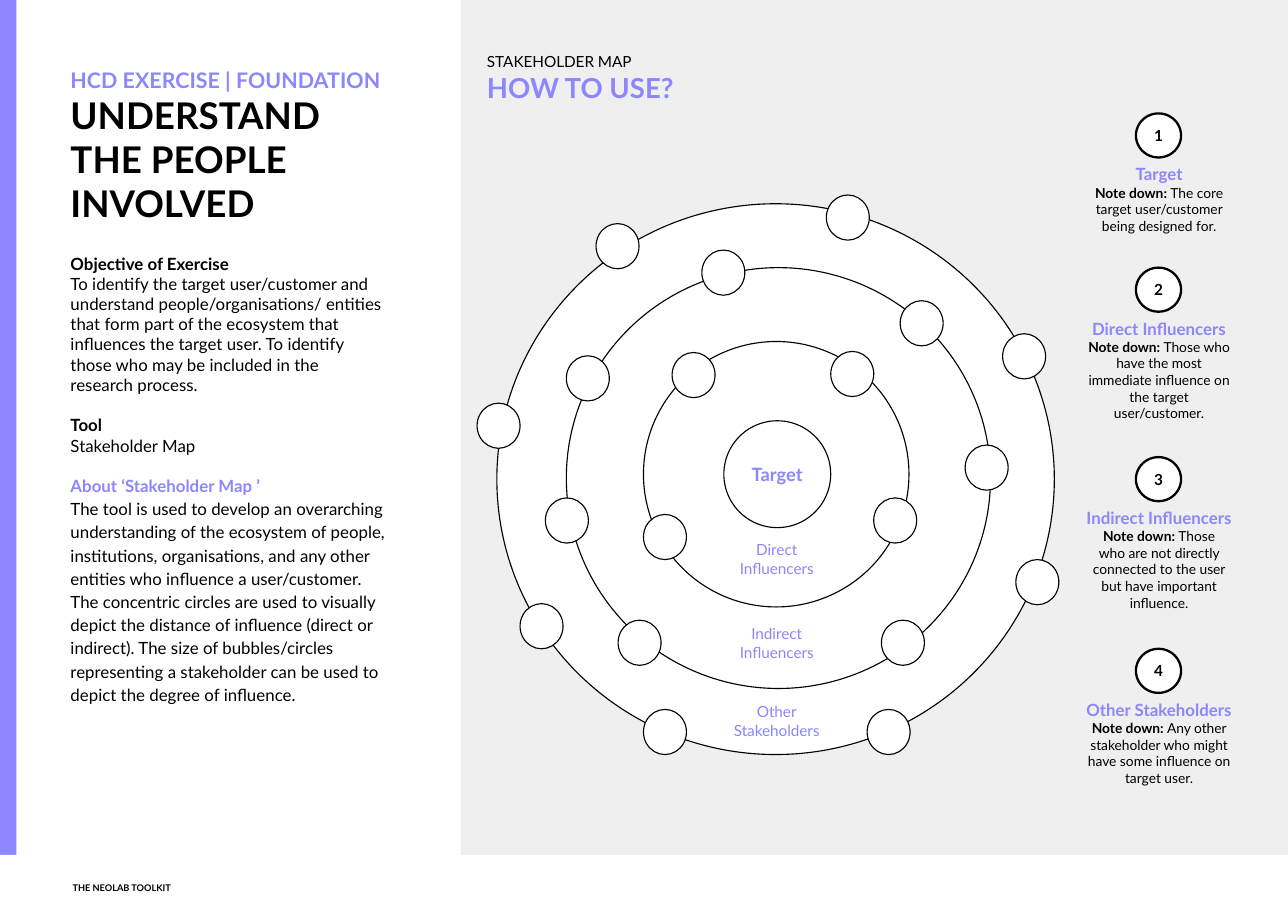
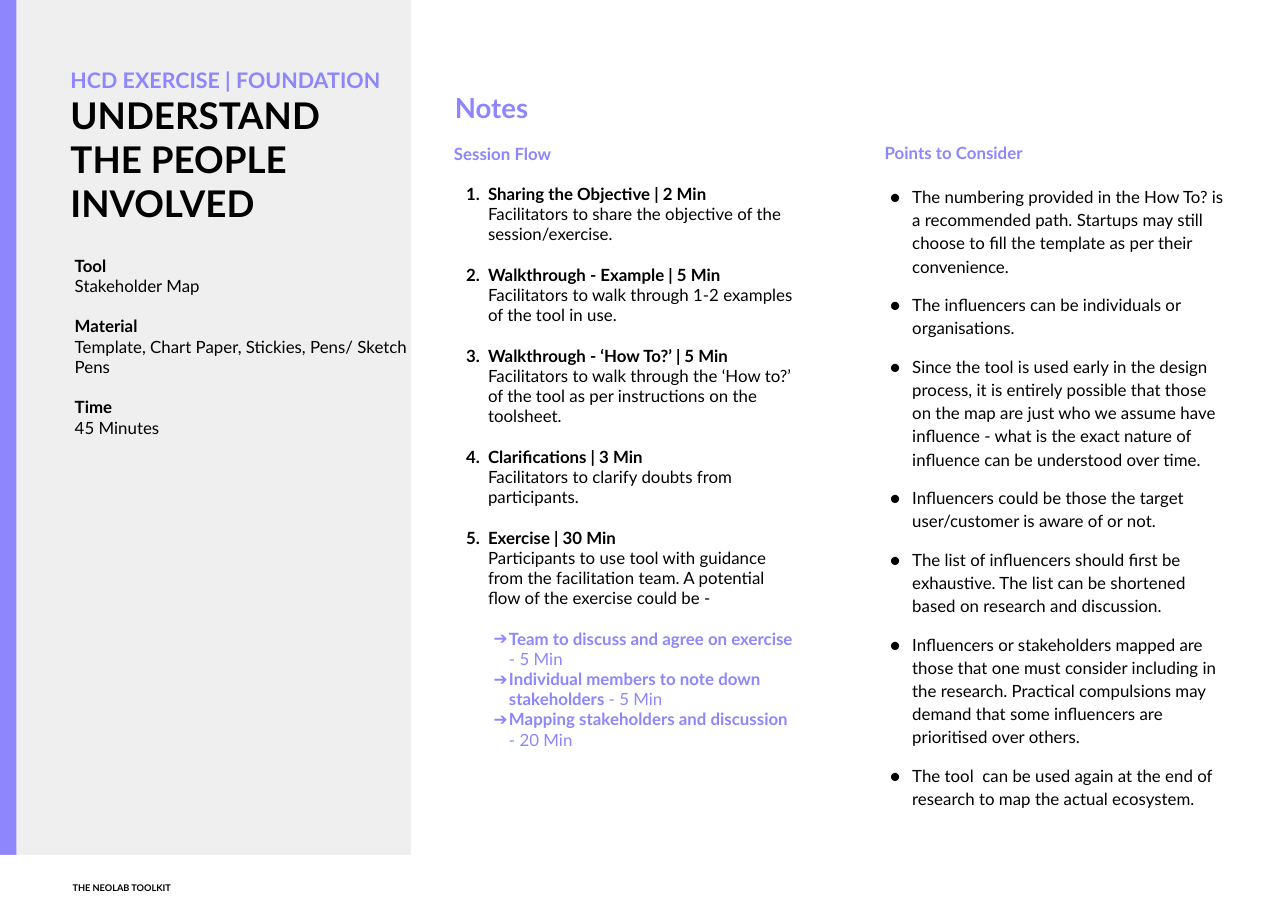
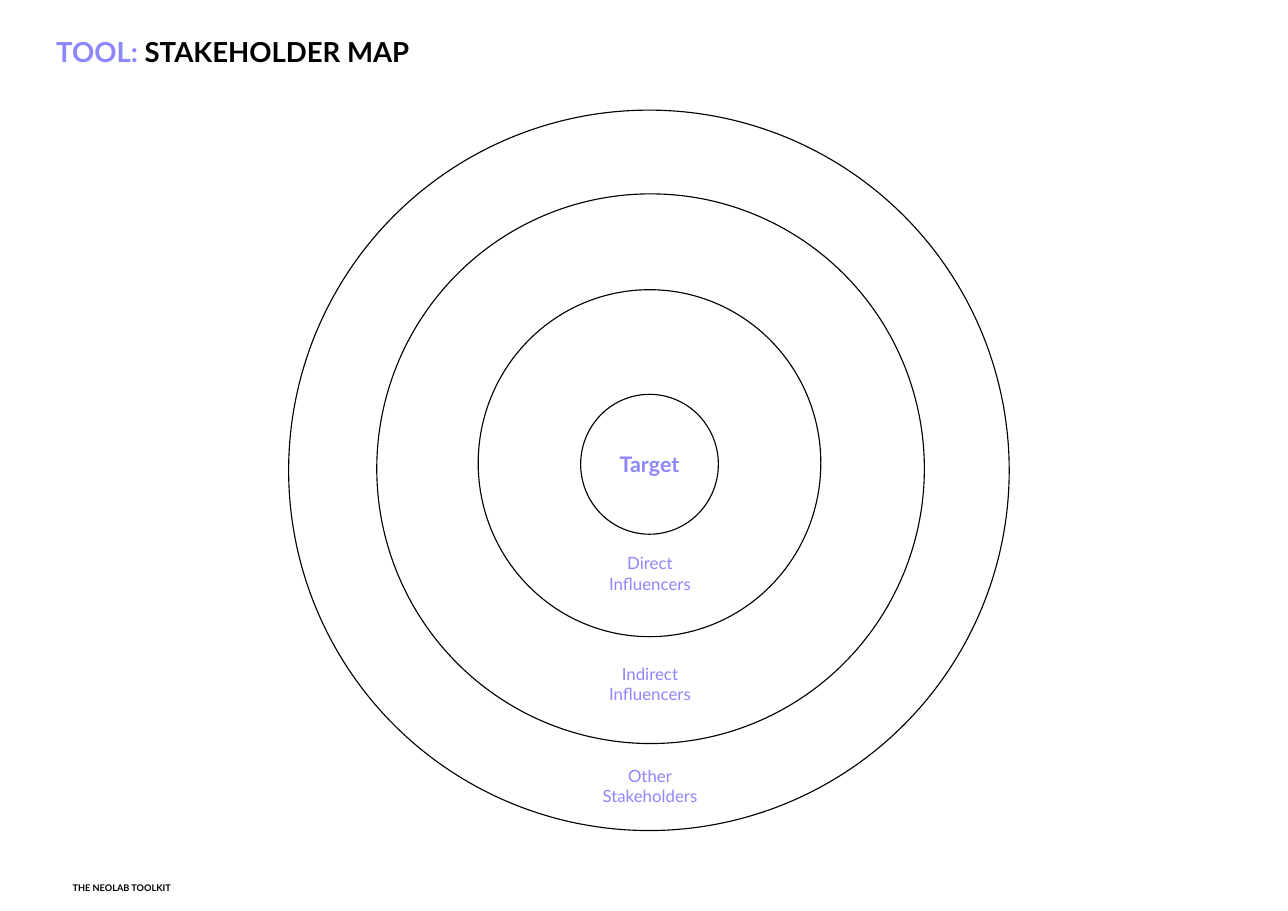
"""Build the three slides of the stakeholder map exercise."""
from lxml.etree import SubElement
from pptx import Presentation
from pptx.dml.color import RGBColor
from pptx.enum.shapes import MSO_SHAPE as Shape
from pptx.enum.text import MSO_ANCHOR as Anchor, PP_ALIGN as Align
from pptx.oxml.ns import qn
from pptx.util import Emu, Pt

EMU_PER_PX = 9144
WIDTH, HEIGHT = 1169, 827
FONT = "Lato"
BLACK, WHITE, GREY, VIOLET = "000000", "FFFFFF", "EFEFEF", "8D86FC"
BLANK_LINE = 13.2
BODY_INSET, LABEL_INSET = 13, 10

RING_NAMES = [("Direct", "Influencers"), ("Indirect", "Influencers"), ("Other", "Stakeholders")]

BUBBLE_SIZE = (39, 41)
BUBBLES = [
    (610, 320), (754, 319), (793, 452), (584, 467),
    (514, 323), (637, 227), (817, 273), (876, 404), (495, 452), (561, 563), (800, 563),
    (787, 644), (922, 508), (910, 303), (750, 177), (541, 203), (433, 366), (472, 548), (584, 644),
]

CARDS = [
    (103, "Target", ["The core target user/customer being designed for."]),
    (243, "Direct Influencers",
     ["Those who have the most immediate influence on the target user/customer."]),
    (415, "Indirect Influencers",
     ["Those", "who are not directly connected to the user but have important influence."]),
    (589, "Other Stakeholders",
     ["Any other stakeholder who might have some influence on target user."]),
]

ABOUT_EXERCISE = [
    ("Objective of Exercise",
     "To identify the target user/customer and understand people/organisations/ entities that "
     "form part of the ecosystem that influences the target user. To identify those who may be "
     "included in the research process."),
    ("Tool", "Stakeholder Map"),
]
ABOUT_TOOL = (
    "The tool is used to develop an overarching understanding of the ecosystem of people, "
    "institutions, organisations, and any other entities who influence a user/customer. The "
    "concentric circles are used to visually depict the distance of influence (direct or "
    "indirect). The size of bubbles/circles representing a stakeholder can be used to depict "
    "the degree of influence."
)

LOGISTICS = [
    ("Tool", "Stakeholder Map"),
    ("Material", "Template, Chart Paper, Stickies, Pens/ Sketch Pens"),
    ("Time", "45 Minutes"),
]

SESSION_STEPS = [
    ("Sharing the Objective | 2 Min",
     "Facilitators to share the objective of the session/exercise."),
    ("Walkthrough - Example | 5 Min",
     "Facilitators to walk through 1-2 examples of the tool in use."),
    ("Walkthrough - ‘How To?’ | 5 Min",
     "Facilitators to walk through the ‘How to?’ of the tool as per instructions on the toolsheet."),
    ("Clarifications | 3 Min", "Facilitators to clarify doubts from participants."),
    ("Exercise | 30 Min",
     "Participants to use tool with guidance from the facilitation team. A potential flow of the "
     "exercise could be -"),
]
EXERCISE_FLOW = [
    ("Team to discuss and agree on exercise ", "- 5 Min"),
    ("Individual members to note down stakeholders ", "- 5 Min"),
    ("Mapping stakeholders and discussion ", "- 20 Min"),
]

POINTS = [
    "The numbering provided in the How To? is a recommended path. Startups may still choose to "
    "fill the template as per their convenience.",
    "The influencers can be individuals or organisations.",
    "Since the tool is used early in the design process, it is entirely possible that those on "
    "the map are just who we assume have influence - what is the exact nature of influence can "
    "be understood over time.",
    "Influencers could be those the target user/customer is aware of or not.",
    "The list of influencers should first be exhaustive. The list can be shortened based on "
    "research and discussion.",
    "Influencers or stakeholders mapped are those that one must consider including in the "
    "research. Practical compulsions may demand that some influencers are prioritised over others.",
    "The tool  can be used again at the end of research to map the actual ecosystem.",
]


def px(length):
    """Turn px into EMU."""
    return Emu(length * EMU_PER_PX)


def color(hex_string):
    """Turn a hex string into a colour."""
    return RGBColor.from_string(hex_string)


def add_run(paragraph, text, size=11, ink=BLACK, bold=False):
    """Add formatted text to a paragraph."""
    run = paragraph.add_run()
    run.text = text
    run.font.name = FONT
    run.font.size = Pt(size)
    run.font.bold = bold
    run.font.color.rgb = color(ink)


def add_bullet(paragraph, ink, tag, **attributes):
    """Give a paragraph a bullet or a number."""
    properties = paragraph._p.get_or_add_pPr()
    bullet_color = SubElement(properties, qn("a:buClr"))
    SubElement(bullet_color, qn("a:srgbClr"), val=ink)
    SubElement(properties, qn("a:buFont"), typeface=FONT)
    SubElement(properties, qn(tag), **attributes)


def add_text(frame, text, align=Align.LEFT, before=0, line=None, indent=0, hanging=0,
             bullet=None, number=None, **font):
    """Add a formatted paragraph to a text frame and return it."""
    first = frame.paragraphs[0]
    paragraph = frame.add_paragraph() if first.runs else first
    if indent:
        properties = paragraph._p.get_or_add_pPr()
        properties.set("marL", str(px(indent)))
        properties.set("indent", str(-px(hanging)))
    if bullet:
        add_bullet(paragraph, font.get("ink", BLACK), "a:buChar", char=bullet)
    if number:
        add_bullet(paragraph, font.get("ink", BLACK), "a:buAutoNum",
                   type="arabicPeriod", startAt=str(number))
    paragraph.alignment = align
    if before:
        paragraph.space_before = Pt(before)
    if line:
        paragraph.line_spacing = line
    add_run(paragraph, text, **font)
    return paragraph


def set_frame(shape, inset, anchor):
    """Set wrapping, insets and anchor of a shape's text and return its frame."""
    frame = shape.text_frame
    frame.word_wrap = True
    frame.vertical_anchor = anchor
    frame.margin_left = frame.margin_right = frame.margin_top = frame.margin_bottom = px(inset)
    return frame


def add_box(shapes, left, top, width, height, inset=LABEL_INSET, anchor=Anchor.TOP):
    """Add a text box and return its text frame."""
    box = shapes.add_textbox(px(left), px(top), px(width), px(height))
    return set_frame(box, inset, anchor)


def add_block(shapes, kind, left, top, width, height, fill=WHITE, line=None):
    """Add a filled shape, outlined in black when a line width is given."""
    shape = shapes.add_shape(kind, px(left), px(top), px(width), px(height))
    shape.shadow.inherit = False
    shape.fill.solid()
    shape.fill.fore_color.rgb = color(fill)
    if line:
        shape.line.color.rgb = color(BLACK)
        shape.line.width = Pt(line)
    else:
        shape.line.fill.background()
    return shape


def add_circle(shapes, left, top, width, height, line=0.75, text=None, **font):
    """Add an outlined white circle, with centred bold text if given."""
    circle = add_block(shapes, Shape.OVAL, left, top, width, height, line=line)
    if text:
        frame = set_frame(circle, 0, Anchor.MIDDLE)
        add_text(frame, text, align=Align.CENTER, bold=True, **font)


def add_sections(frame, sections):
    """Add bold headings with their text, one blank line apart."""
    for index, (heading, text) in enumerate(sections):
        add_text(frame, heading, bold=True, before=BLANK_LINE if index else 0)
        add_text(frame, text)


def add_exercise_title(slide):
    """Add the exercise title at the left."""
    frame = add_box(slide.shapes, 51, 96, 312, 121, BODY_INSET, Anchor.BOTTOM)
    add_text(frame, "HCD EXERCISE | FOUNDATION", size=14, ink=VIOLET, bold=True)
    add_text(frame, "UNDERSTAND THE PEOPLE INVOLVED", size=24, bold=True)


def add_accent(slide):
    """Add the violet band at the left edge."""
    add_block(slide.shapes, Shape.RECTANGLE, 0, 0, 15, HEIGHT, VIOLET)


def add_footer(slide):
    """Add the white footer band with the toolkit name."""
    shapes = slide.shapes.add_group_shape().shapes
    add_block(shapes, Shape.RECTANGLE, 0, 776, WIDTH, 51)
    frame = add_box(shapes, 56, 787, 461, 29, anchor=Anchor.BOTTOM)
    add_text(frame, "THE NEOLAB TOOLKIT", size=6, bold=True)


def add_map(slide, rings, target, label_left, label_tops, label_size, text_size, target_size):
    """Add the concentric rings with their labels and return the group's shapes."""
    shapes = slide.shapes.add_group_shape().shapes
    for ring in rings:
        add_circle(shapes, *ring)
    add_circle(shapes, *target, text="Target", size=target_size, ink=VIOLET)
    for top, words in zip(label_tops, RING_NAMES):
        frame = add_box(shapes, label_left, top, *label_size, anchor=Anchor.MIDDLE)
        for word in words:
            add_text(frame, word, align=Align.CENTER, size=text_size, ink=VIOLET)
    return shapes


def add_card(slide, number, top, heading, notes):
    """Add a numbered badge with its heading and note."""
    add_circle(slide.shapes, 1031, top, 41, 40, line=1.5, text=str(number), size=10)
    frame = add_box(slide.shapes, 976, top + 36, 152, 77)
    add_text(frame, heading, align=Align.CENTER, ink=VIOLET, bold=True)
    paragraph = add_text(frame, "Note down: ", align=Align.CENTER, size=9, bold=True)
    add_run(paragraph, notes[0], size=9)
    for note in notes[1:]:
        add_text(frame, note, align=Align.CENTER, size=9)


def build_how_to_use(slide):
    """Build the slide that explains the map."""
    add_block(slide.shapes, Shape.RECTANGLE, 418, 0, 751, HEIGHT, GREY)
    add_exercise_title(slide)
    about = add_box(slide.shapes, 51, 217, 312, 513, BODY_INSET)
    add_sections(about, ABOUT_EXERCISE)
    add_text(about, "About ‘Stakeholder Map ’", ink=VIOLET, bold=True, before=BLANK_LINE)
    add_text(about, ABOUT_TOOL, line=1.15)
    title = add_box(slide.shapes, 429, 30, 552, 77, BODY_INSET, Anchor.BOTTOM)
    add_text(title, "STAKEHOLDER MAP", size=10)
    add_text(title, "HOW TO USE?", size=18, ink=VIOLET, bold=True)
    for number, card in enumerate(CARDS, 1):
        add_card(slide, number, *card)
    shapes = add_map(
        slide, rings=[(451, 185, 506, 500), (514, 243, 385, 382), (584, 310, 241, 241)],
        target=(657, 382, 97, 97), label_left=610, label_tops=[491, 567, 638],
        label_size=(190, 33), text_size=10, target_size=12)
    for left, top in BUBBLES:
        add_circle(shapes, left, top, *BUBBLE_SIZE)
    add_accent(slide)
    add_footer(slide)


def build_notes(slide):
    """Build the slide with session flow and points to consider."""
    add_block(slide.shapes, Shape.RECTANGLE, 0, 0, 373, HEIGHT, GREY)
    flow = add_box(slide.shapes, 399, 117, 336, 622, BODY_INSET)
    add_text(flow, "Session Flow", ink=VIOLET, bold=True)
    for number, (heading, text) in enumerate(SESSION_STEPS, 1):
        add_text(flow, heading, bold=True, before=BLANK_LINE, indent=31, hanging=20, number=number)
        add_text(flow, text, indent=31)
    for index, (task, duration) in enumerate(EXERCISE_FLOW):
        paragraph = add_text(flow, task, ink=VIOLET, bold=True, indent=50, hanging=14,
                             bullet="➔", before=0 if index else BLANK_LINE)
        add_run(paragraph, duration, ink=VIOLET)
    title = add_box(slide.shapes, 403, 63, 328, 69, anchor=Anchor.MIDDLE)
    add_text(title, "Notes", size=18, ink=VIOLET, bold=True)
    add_sections(add_box(slide.shapes, 58, 222, 328, 214), LOGISTICS)
    points = add_box(slide.shapes, 790, 117, 336, 637, BODY_INSET)
    add_text(points, "Points to Consider", ink=VIOLET, bold=True)
    for index, point in enumerate(POINTS):
        add_text(points, point, line=1.15, indent=25, hanging=20, bullet="●",
                 before=10 if index else BLANK_LINE)
    add_exercise_title(slide)
    add_accent(slide)
    add_footer(slide)


def build_tool(slide):
    """Build the slide with the empty map."""
    add_map(
        slide, rings=[(262, 100, 654, 654), (342, 176, 497, 499), (434, 263, 311, 315)],
        target=(527, 358, 125, 127), label_left=467, label_tops=[499, 599, 692],
        label_size=(246, 43), text_size=11, target_size=14)
    title = add_box(slide.shapes, 38, 32, 539, 43, BODY_INSET, Anchor.BOTTOM)
    paragraph = add_text(title, "TOOL:", size=18, ink=VIOLET, bold=True)
    add_run(paragraph, " STAKEHOLDER MAP", size=18, bold=True)
    add_footer(slide)


def main():
    """Build and save the presentation."""
    presentation = Presentation()
    presentation.slide_width, presentation.slide_height = px(WIDTH), px(HEIGHT)
    blank = presentation.slide_layouts[6]
    for build in (build_how_to_use, build_notes, build_tool):
        build(presentation.slides.add_slide(blank))
    presentation.save("out.pptx")


if __name__ == "__main__":
    main()
